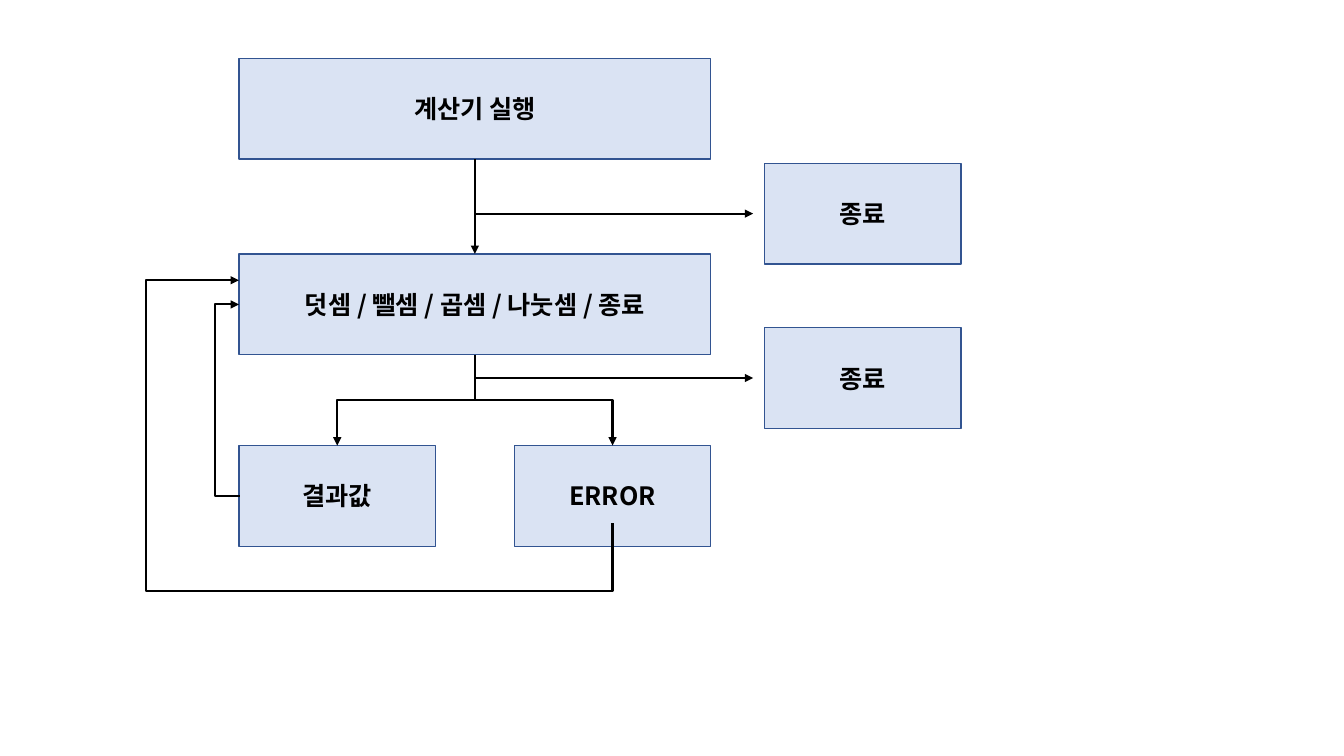
"""Builds the flowchart slide of a calculator program."""
import pptx
import pptx.util
import pptx.dml.color
import pptx.enum.shapes
import pptx.enum.text
import pptx.oxml
import pptx.oxml.ns
import lxml.etree

Inches, Pt = pptx.util.Inches, pptx.util.Pt
RGBColor = pptx.dml.color.RGBColor
CONNECTOR = pptx.enum.shapes.MSO_CONNECTOR
qn = pptx.oxml.ns.qn

BOX_FILL = RGBColor(0xDA, 0xE3, 0xF3)
BOX_LINE = RGBColor(0x32, 0x54, 0x91)
BLACK = RGBColor(0, 0, 0)
FONT = "Noto Sans CJK KR"

WIDE, NARROW, STEP_HEIGHT = 4.68, 1.95, 1
LEFT, RIGHT, EXIT_LEFT = 2.37, 5.1, 7.58
START_TOP, MENU_TOP, OUTCOME_TOP = 0.58, 2.52, 4.42
EXIT_TOPS = (1.62, 3.25)

STEPS = [
    ("계산기 실행", LEFT, START_TOP, WIDE),
    ("덧셈 / 뺄셈 / 곱셈 / 나눗셈 / 종료", LEFT, MENU_TOP, WIDE),
    ("결과값", LEFT, OUTCOME_TOP, NARROW),
    ("ERROR", RIGHT, OUTCOME_TOP, NARROW),
] + [("종료", EXIT_LEFT, top, NARROW) for top in EXIT_TOPS]

TRUNK = LEFT + WIDE / 2
RESULT_X, ERROR_X = LEFT + NARROW / 2, RIGHT + NARROW / 2
MENU_BOTTOM = MENU_TOP + STEP_HEIGHT
FORK_Y = (MENU_BOTTOM + OUTCOME_TOP) / 2

STRAIGHT_ARROWS = [((TRUNK, START_TOP + STEP_HEIGHT), (TRUNK, MENU_TOP))] + [
    ((TRUNK, top + STEP_HEIGHT / 2), (7.47, top + STEP_HEIGHT / 2)) for top in EXIT_TOPS
]

# start, end, rotation, mirrored, coordinate of each turn
BENT_ARROWS = [
    ((LEFT + 0.01, OUTCOME_TOP + STEP_HEIGHT / 2), (LEFT, 3.02), 180, False, [2.13]),
    ((TRUNK, MENU_BOTTOM), (RESULT_X, OUTCOME_TOP), 90, False, [FORK_Y]),
    ((TRUNK, MENU_BOTTOM), (ERROR_X, OUTCOME_TOP), 270, True, [FORK_Y]),
    ((ERROR_X, 5.19), (LEFT, 2.78), 90, True, [5.86, 1.45]),
]


def add_step(slide, label, left, top, width):
    step = slide.shapes.add_shape(
        pptx.enum.shapes.MSO_SHAPE.RECTANGLE,
        Inches(left), Inches(top), Inches(width), Inches(STEP_HEIGHT))
    step.shadow.inherit = False
    step.fill.solid()
    step.fill.fore_color.rgb = BOX_FILL
    step.line.color.rgb = BOX_LINE
    step.line.width = Pt(1)
    step.text_frame.vertical_anchor = pptx.enum.text.MSO_ANCHOR.MIDDLE
    paragraph = step.text_frame.paragraphs[0]
    paragraph.text = label
    paragraph.alignment = pptx.enum.text.PP_ALIGN.CENTER
    paragraph.font.size = Pt(18)
    paragraph.font.bold = True
    paragraph.font.name = FONT
    paragraph.font.color.rgb = BLACK
    fonts = paragraph.runs[0].font._element
    lxml.etree.SubElement(fonts, qn("a:ea")).set("typeface", FONT)


def add_arrow(slide, kind, start, end):
    arrow = slide.shapes.add_connector(kind, *map(Inches, start + end))
    arrow.line.color.rgb = BLACK
    arrow.line.width = Pt(1.5)
    lxml.etree.SubElement(arrow.line._get_or_add_ln(), qn("a:tailEnd")).set("type", "triangle")
    lxml.etree.SubElement(arrow._element.spPr, qn("a:effectLst"))
    return arrow


def add_bent_arrow(slide, start, end, rotation, mirrored, turns):
    upright = rotation % 180 == 90
    width, height = (abs(b - a) for a, b in zip(start, end))
    if upright:
        width, height = height, width
    left = (start[0] + end[0] - width) / 2
    top = (start[1] + end[1] - height) / 2
    arrow = add_arrow(slide, CONNECTOR.ELBOW, (left, top), (left + width, top + height))

    frame = arrow._element.spPr.find(qn("a:xfrm"))
    frame.set("rot", str(rotation * 60000))
    if mirrored:
        frame.set("flipH", "1")
    geometry = arrow._element.spPr.find(qn("a:prstGeom"))
    geometry.set("prst", f"bentConnector{len(turns) + 2}")
    guides = geometry.find(qn("a:avLst"))
    for number, turn in enumerate(turns, 1):
        axis = (number - 1 + upright) % 2
        share = (turn - start[axis]) / (end[axis] - start[axis])
        guide = lxml.etree.SubElement(guides, qn("a:gd"))
        guide.set("name", f"adj{number}")
        guide.set("fmla", f"val {round(share * 100000)}")


deck = pptx.Presentation()
deck.slide_width, deck.slide_height = Inches(13.33), Inches(7.5)
flowchart = deck.slides.add_slide(deck.slide_layouts[6])
for step in STEPS:
    add_step(flowchart, *step)
for ends in STRAIGHT_ARROWS:
    add_arrow(flowchart, CONNECTOR.STRAIGHT, *ends)
for route in BENT_ARROWS:
    add_bent_arrow(flowchart, *route)
deck.save("out.pptx")
